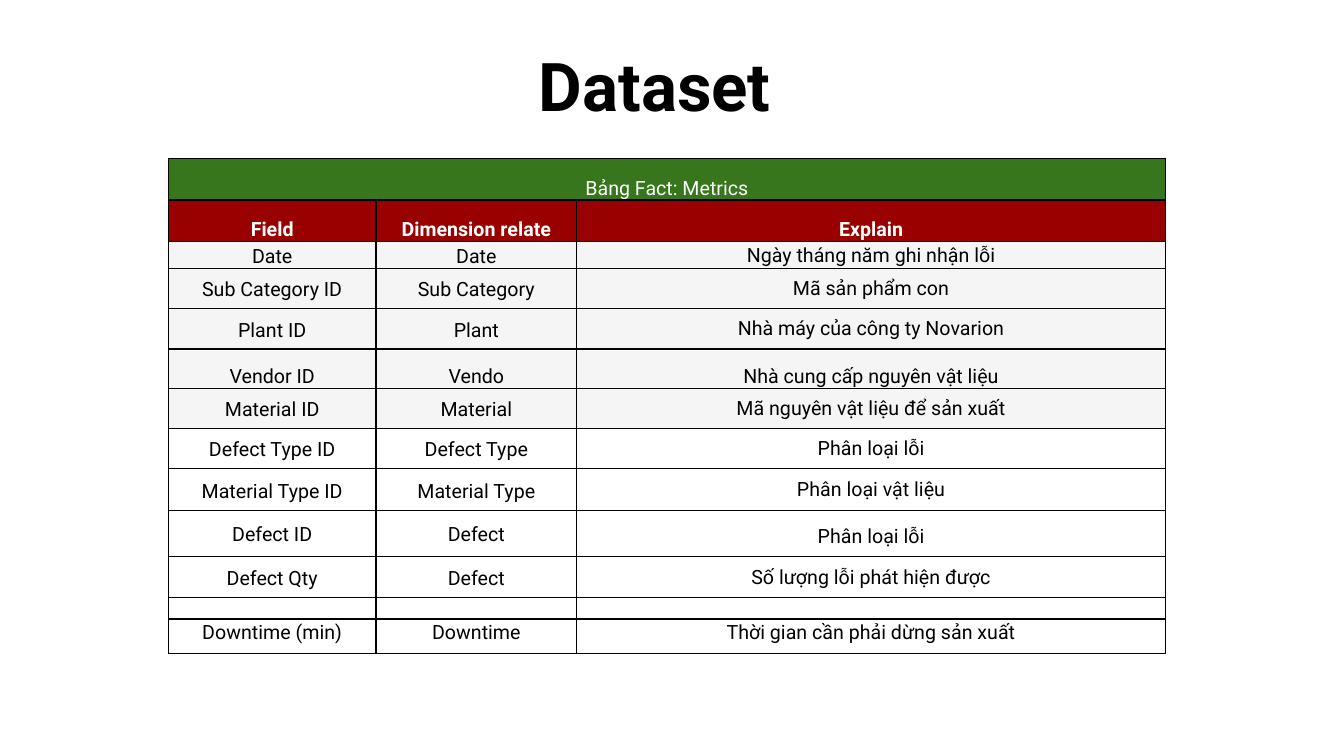
from lxml import etree
from pptx import Presentation
from pptx.dml.color import RGBColor
from pptx.enum.text import MSO_ANCHOR, PP_ALIGN
from pptx.oxml.ns import qn
from pptx.util import Inches, Pt

CENTER = PP_ALIGN.CENTER
MIDDLE, TOP = MSO_ANCHOR.MIDDLE, MSO_ANCHOR.TOP

# Content
FONT = "Roboto"
COLORS = {"black": "000000", "white": "FFFFFF", "green": "38761D",
          "red": "990000", "grey": "F5F5F5"}
TITLE = "Dataset"
BANNER = "Bảng Fact: Metrics"
HEADINGS = ("Field", "Dimension relate", "Explain")
# field, dimension, explanation, row height, top insets (names, explanation),
# line spacings (names, explanation)
FIELDS = [
    ("Date", "Date", "Ngày tháng năm ghi nhận lỗi", 0.24, (0, 0.01), (1.14, 1)),
    ("Sub Category ID", "Sub Category", "Mã sản phẩm con", 0.4, (0, 0), (1.14, 1)),
    ("Plant ID", "Plant", "Nhà máy của công ty Novarion", 0.4, (0, 0.01), (1.14, 1)),
    ("Vendor ID", "Vendo", "Nhà cung cấp nguyên vật liệu", 0.31, (0.13, 0.13), (1.13, 1.13)),
    ("Material ID", "Material", "Mã nguyên vật liệu để sản xuất", 0.4, (0, 0.01), (1.13, 1)),
    ("Defect Type ID", "Defect Type", "Phân loại lỗi", 0.4, (0, 0.01), (1.13, 1)),
    ("Material Type ID", "Material Type", "Phân loại vật liệu", 0.41, (0.01, 0.01), (1.12, 1)),
    ("Defect ID", "Defect", "Phân loại lỗi", 0.46, (0, 0.07), (1.12, 1)),
    ("Defect Qty", "Defect", "Số lượng lỗi phát hiện được", 0.41, (0.01, 0.01), (1.11, 1)),
    ("", "", "", 0.21, (0, 0), (1, 1)),
    ("Downtime (min)", "Downtime", "Thời gian cần phải dừng sản xuất", 0.34, (0, 0), (0.55, 0.55)),
]
SHADED_FIELDS = 5
COLUMN_WIDTHS = (2.06, 1.99, 5.84)
HEADER_HEIGHT, HEADER_INSET, HEADER_SPACING = 0.32, 0.15, 1.15


def rgb(name):
    return RGBColor.from_string(COLORS[name])


def add_run(paragraph, text, size, color, bold=False):
    run = paragraph.add_run()
    run.text = text
    run.font.name = FONT
    run.font.size = Pt(size)
    run.font.bold = bold
    run.font.color.rgb = rgb(color)


def add_borders(cell):
    properties = cell._tc.get_or_add_tcPr()
    for position, side in enumerate(("a:lnL", "a:lnR", "a:lnT", "a:lnB")):
        line = etree.Element(qn(side), w=str(Pt(1)))
        solid = etree.SubElement(line, qn("a:solidFill"))
        etree.SubElement(solid, qn("a:srgbClr"), val=COLORS["black"])
        properties.insert(position, line)


def format_cell(cell, text, inset, spacing, fill=None, color="black", bold=False):
    cell.margin_left = cell.margin_right = cell.margin_bottom = 0
    cell.margin_top = Inches(inset)
    cell.vertical_anchor = MIDDLE
    if fill:
        cell.fill.solid()
        cell.fill.fore_color.rgb = rgb(fill)
    else:
        cell.fill.background()
    add_borders(cell)
    paragraph = cell.text_frame.paragraphs[0]
    paragraph.alignment = CENTER
    paragraph.line_spacing = spacing
    if text:
        add_run(paragraph, text, 14, color, bold)
    else:
        # A small end mark keeps the empty row low
        etree.SubElement(paragraph._p, qn("a:endParaRPr"), sz="800")


prs = Presentation()
prs.slide_width, prs.slide_height = Inches(13.33), Inches(7.5)
slide = prs.slides.add_slide(prs.slide_layouts[5])

# Title
title = slide.shapes.title
title.left, title.top = Inches(4.63), Inches(0.42)
title.width, title.height = Inches(3.73), Inches(0.83)
frame = title.text_frame
frame.margin_left = frame.margin_right = frame.margin_bottom = 0
frame.margin_top = Inches(0.02)
frame.vertical_anchor = TOP
frame.paragraphs[0].alignment = CENTER
add_run(frame.paragraphs[0], TITLE, 48, "black", True)

# Table grid
row_heights = [HEADER_HEIGHT] * 2 + [field[3] for field in FIELDS]
table = slide.shapes.add_table(
    len(row_heights), len(COLUMN_WIDTHS), Inches(1.67), Inches(1.57),
    Inches(sum(COLUMN_WIDTHS)), Inches(sum(row_heights))).table
table.first_row = table.horz_banding = False
for column, width in zip(table.columns, COLUMN_WIDTHS):
    column.width = Inches(width)
for row, height in zip(table.rows, row_heights):
    row.height = Inches(height)

# Banner and headings
table.cell(0, 0).merge(table.cell(0, 2))
for c, heading in enumerate(HEADINGS):
    format_cell(table.cell(0, c), "" if c else BANNER, HEADER_INSET,
                HEADER_SPACING, "green", "white")
    format_cell(table.cell(1, c), heading, HEADER_INSET,
                HEADER_SPACING, "red", "white", True)

# Field rows
for r, (field, dimension, explanation, _, insets, spacings) in enumerate(FIELDS):
    fill = "grey" if r < SHADED_FIELDS else None
    for c, text in enumerate((field, dimension, explanation)):
        kind = 1 if c == 2 else 0
        format_cell(table.cell(r + 2, c), text, insets[kind], spacings[kind], fill)

prs.save("out.pptx")
